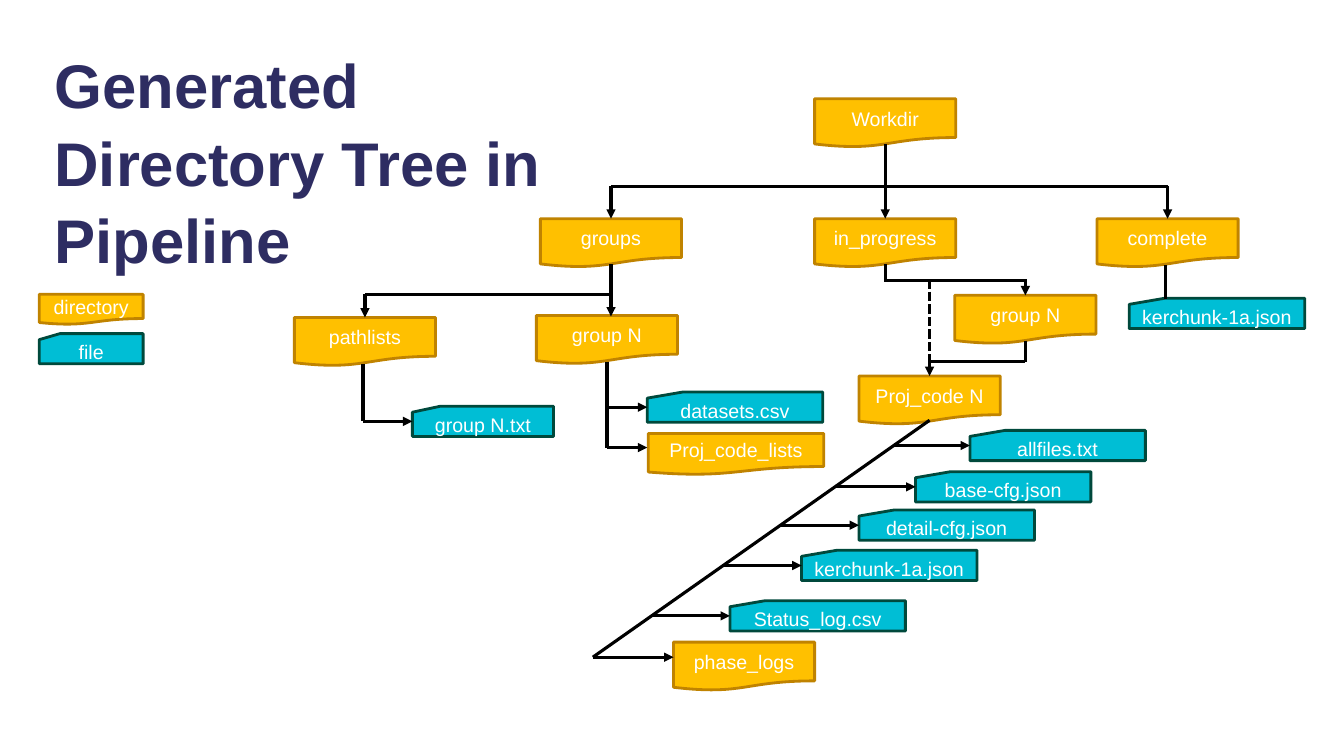
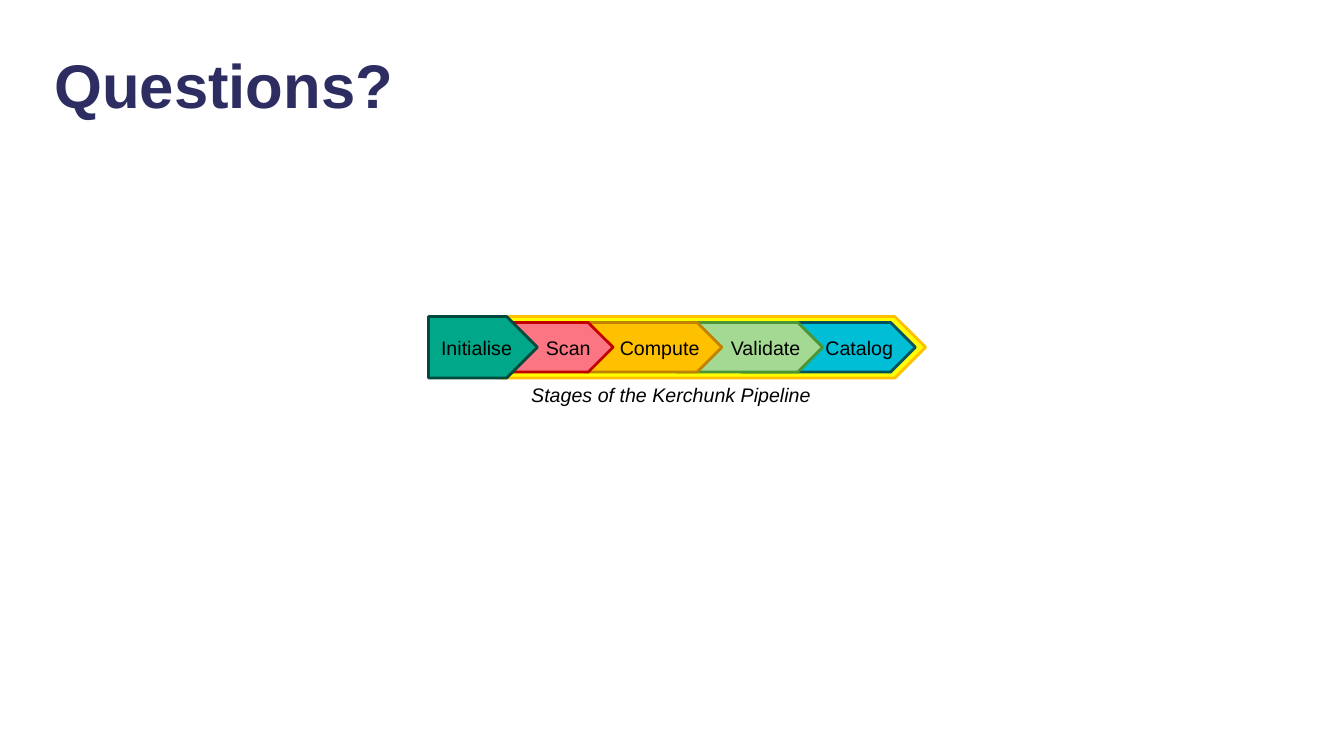
from pptx import Presentation
from pptx.dml.color import RGBColor
from pptx.enum.dml import MSO_LINE
from pptx.enum.shapes import MSO_CONNECTOR, MSO_SHAPE
from pptx.enum.text import MSO_ANCHOR, MSO_AUTO_SIZE, PP_ALIGN
from pptx.oxml.ns import qn
from pptx.util import Inches, Pt
from lxml import etree

DOCUMENT = MSO_SHAPE.FLOWCHART_DOCUMENT
CARD = MSO_SHAPE.FLOWCHART_CARD
PLATE = MSO_SHAPE.PENTAGON
STRAIGHT = MSO_CONNECTOR.STRAIGHT
DASH = MSO_LINE.SQUARE_DOT
LEFT, CENTER, RIGHT = PP_ALIGN.LEFT, PP_ALIGN.CENTER, PP_ALIGN.RIGHT
TOP, MIDDLE = MSO_ANCHOR.TOP, MSO_ANCHOR.MIDDLE
FIXED, GROW = MSO_AUTO_SIZE.NONE, MSO_AUTO_SIZE.SHAPE_TO_FIT_TEXT
TOP_SITE, LEFT_SITE = 0, 1


class Theme:
    font = "Arial"
    title_size, body_size = 44, 14
    outline, rule = 2, 2.25
    navy, black, white = "2E2D62", "000000", "FFFFFF"
    directory = ("FFC000", "C08300")
    file = ("00BED5", "00493C")
    band = ("FFFF00", "FFC000")
    initialise = ("00A788", "00493C")
    scan = ("FB7582", "C00000")
    validate = ("A4D994", "4B9535")
    catalog = ("00BED5", "00535D")


def put_text(sp, text, size=Theme.body_size, color=Theme.black, bold=False, italic=False,
             align=LEFT, anchor=TOP, wrap=True, fit=FIXED, spacing=None, paint=None):
    if paint:
        sp.shadow.inherit = False
        sp.fill.solid()
        sp.fill.fore_color.rgb = RGBColor.from_string(paint[0])
        sp.line.color.rgb = RGBColor.from_string(paint[1])
        sp.line.width = Pt(Theme.outline)
    tf = sp.text_frame
    tf.word_wrap, tf.auto_size, tf.vertical_anchor = wrap, fit, anchor
    p = tf.paragraphs[0]
    p.alignment, p.line_spacing = align, spacing
    if text:
        r = p.add_run()
        r.text = text
        r.font.name, r.font.size = Theme.font, Pt(size)
        r.font.bold, r.font.italic = bold, italic
        r.font.color.rgb = RGBColor.from_string(color)


prs = Presentation()
prs.slide_width, prs.slide_height = Inches(13.33), Inches(7.5)
slides = []
for title, width in (("Generated Directory Tree in Pipeline", 5.65), ("Questions?", 12.78)):
    s = prs.slides.add_slide(prs.slide_layouts[5])
    sp = s.shapes.title
    sp.left, sp.top, sp.width, sp.height = map(Inches, (0.44, 0.38, width, 0.84))
    put_text(sp, title, size=Theme.title_size, color=Theme.navy, bold=True, spacing=1.05)
    slides.append(s)
tree, questions = slides

directories = [
    ("workdir", "Workdir", 8.08, 0.98, 1.4, 0.48),
    ("groups", "groups", 5.36, 2.17, 1.4, 0.48),
    ("in_progress", "in_progress", 8.08, 2.17, 1.4, 0.48),
    ("complete", "complete", 10.88, 2.17, 1.4, 0.48),
    ("pathlists", "pathlists", 2.92, 3.15, 1.4, 0.48),
    ("list_group", "group N", 5.32, 3.13, 1.4, 0.48),
    ("work_group", "group N", 9.47, 2.93, 1.4, 0.48),
    ("project", "Proj_code N", 8.52, 3.73, 1.4, 0.48),
    ("project_lists", "Proj_code_lists", 6.43, 4.3, 1.74, 0.41),
    ("phase_logs", "phase_logs", 6.68, 6.37, 1.4, 0.48),
    ("directory_key", "directory", 0.39, 2.92, 1.03, 0.3),
]
project_files = [
    ("allfiles", "allfiles.txt", 9.62, 4.27),
    ("base_cfg", "base-cfg.json", 9.08, 4.68),
    ("detail_cfg", "detail-cfg.json", 8.52, 5.06),
    ("project_kerchunk", "kerchunk-1a.json", 7.95, 5.46),
    ("status_log", "Status_log.csv", 7.24, 5.96),
]
files = [
    ("datasets", "datasets.csv", 6.42, 3.89, 1.74, 0.3),
    ("group_list", "group N.txt", 4.09, 4.03, 1.4, 0.3),
    ("complete_kerchunk", "kerchunk-1a.json", 11.2, 2.96, 1.74, 0.3),
    ("file_key", "file", 0.39, 3.31, 1.03, 0.3),
] + [(*entry, 1.74, 0.3) for entry in project_files]

boxes = {}
for preset, paint, entries in ((DOCUMENT, Theme.directory, directories),
                               (CARD, Theme.file, files)):
    for key, label, *frame in entries:
        sp = boxes[key] = tree.shapes.add_shape(preset, *map(Inches, frame))
        put_text(sp, label, color=Theme.white, align=CENTER, anchor=MIDDLE, paint=paint)

plain_lines = [
    (8.78, 1.43, 8.78, 1.85), (6.06, 1.85, 11.58, 1.85),
    (8.78, 2.62, 8.78, 2.77), (8.77, 2.78, 10.19, 2.78),
    (6.06, 2.92, 3.62, 2.92), (6.02, 3.59, 6.02, 4.44),
    (3.6, 3.61, 3.6, 4.18), (10.17, 3.38, 10.17, 3.59),
    (9.22, 3.59, 10.17, 3.59), (11.56, 2.63, 11.56, 2.97),
    (9.22, 4.17, 5.88, 6.52),
]
free_arrows = [
    (6.06, 2.62, 6.06, 3.14), (6.02, 4.44, 6.42, 4.44), (5.88, 6.52, 6.68, 6.52),
]
joined_arrows = [
    (6.06, 1.85, 6.06, 2.17, "groups", TOP_SITE),
    (8.78, 1.85, 8.78, 2.17, "in_progress", TOP_SITE),
    (11.58, 1.85, 11.58, 2.17, "complete", TOP_SITE),
    (3.62, 2.92, 3.62, 3.15, "pathlists", TOP_SITE),
    (10.17, 2.77, 10.17, 2.93, "work_group", TOP_SITE),
    (9.22, 3.56, 9.22, 3.73, "project", TOP_SITE),
    (6.02, 4.04, 6.42, 4.04, "datasets", LEFT_SITE),
    (3.6, 4.18, 4.09, 4.18, "group_list", LEFT_SITE),
]
for key, label, x, y in project_files:
    middle = y + 0.15
    trunk = 9.22 - (middle - 4.17) * (9.22 - 5.88) / (6.52 - 4.17)
    joined_arrows.append((trunk, middle, x, middle, key, LEFT_SITE))

lines = [(ends, False, False, None) for ends in plain_lines]
lines += [((9.22, 2.77, 9.22, 3.56), False, True, None)]
lines += [(ends, True, False, None) for ends in free_arrows]
lines += [(ends, True, False, target) for *ends, key, site in joined_arrows
          for target in [(boxes[key], site)]]
for ends, arrow, dashed, target in lines:
    line = tree.shapes.add_connector(STRAIGHT, *map(Inches, ends))
    if target:
        line.end_connect(*target)
    line.line.color.rgb = RGBColor.from_string(Theme.black)
    line.line.width = Pt(Theme.rule)
    if dashed:
        line.line.dash_style = DASH
    props = line._element.spPr
    if arrow:
        etree.SubElement(props.find(qn("a:ln")), qn("a:tailEnd"), type="triangle")
    etree.SubElement(props, qn("a:effectLst"))

sp = questions.shapes.add_textbox(*map(Inches, (5.17, 3.75, 2.99, 0.34)))
put_text(sp, "Stages of the Kerchunk Pipeline", italic=True, wrap=False, fit=GROW)
stages = [
    ("", 4.95, 3.14, 4.23, 0.61, Theme.band),
    ("Catalog", 7.35, 3.2, 1.73, 0.49, Theme.catalog),
    ("Validate", 6.71, 3.2, 1.45, 0.49, Theme.validate),
    ("Compute", 5.79, 3.2, 1.37, 0.49, Theme.directory),
    ("Scan", 5, 3.2, 1.08, 0.49, Theme.scan),
    ("Initialise", 4.25, 3.14, 1.08, 0.61, Theme.initialise),
]
for label, *frame, paint in stages:
    sp = questions.shapes.add_shape(PLATE, *map(Inches, frame))
    put_text(sp, label, align=RIGHT, anchor=MIDDLE, paint=paint)

prs.save("out.pptx")
